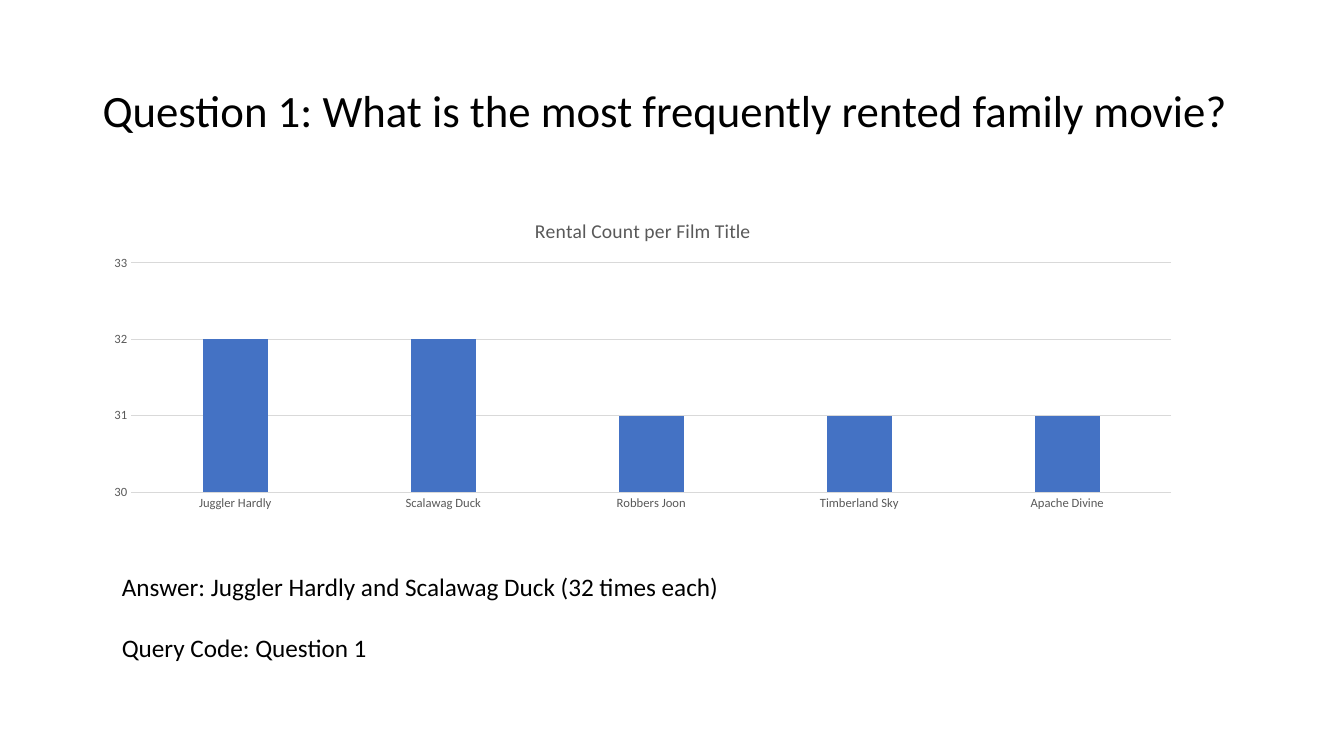
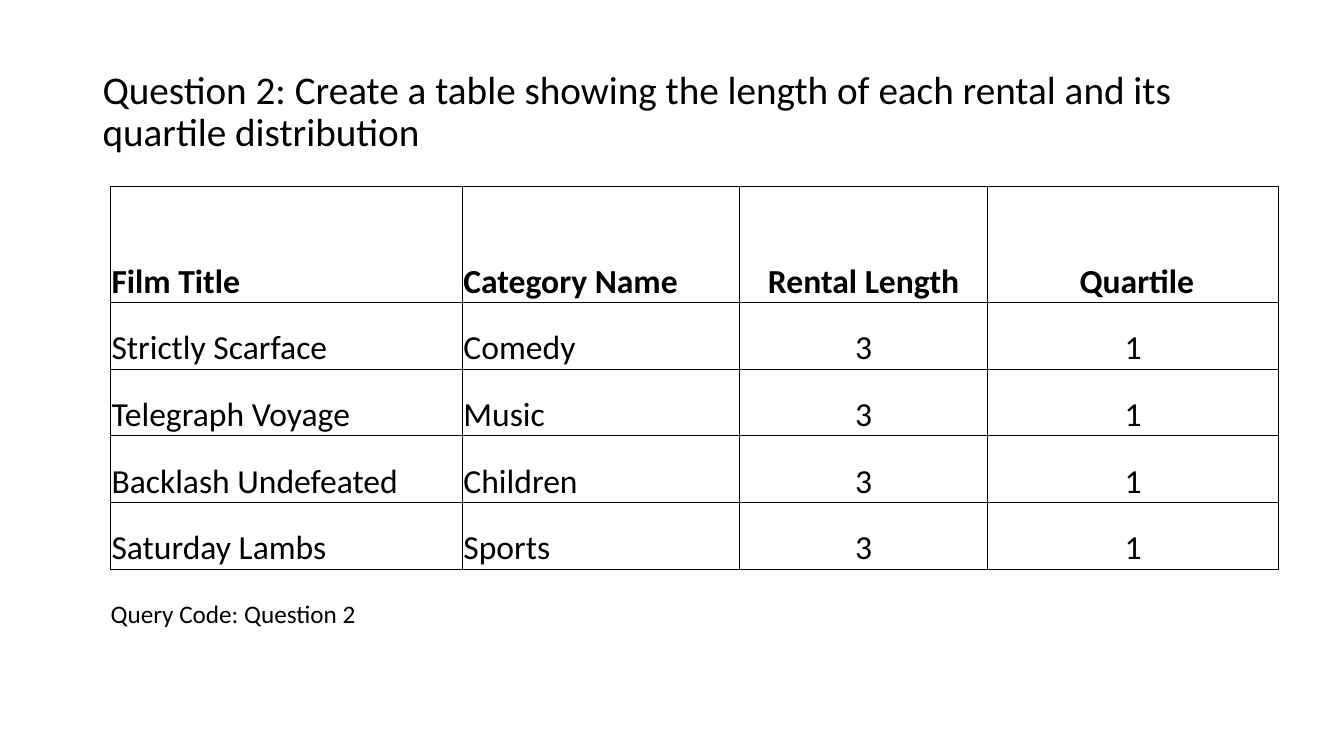
import pptx
import pptx.chart.data
import pptx.dml.color
import pptx.enum.chart
import pptx.enum.text
import pptx.oxml
import pptx.oxml.ns
import pptx.util

Cm = pptx.util.Cm
Pt = pptx.util.Pt
ALIGN = pptx.enum.text.PP_ALIGN
ANCHOR = pptx.enum.text.MSO_ANCHOR
SIZING = pptx.enum.text.MSO_AUTO_SIZE
FACE = "Calibri"
BLACK, GRAY, PALE, BLUE = "000000", "595959", "D9D9D9", "4472C4"
HEAD = (2.33, 1.01, 29.21, 3.68)


def tint(code):
    return pptx.dml.color.RGBColor.from_string(code)


def style(font, size, code=BLACK, bold=False):
    font.name, font.size, font.bold = FACE, Pt(size), bold
    font.color.rgb = tint(code)


def place(shape, box):
    shape.left, shape.top, shape.width, shape.height = map(Cm, box)


def add_slide(deck, text, size):
    slide = deck.slides.add_slide(deck.slide_layouts[5])
    title = slide.shapes.title
    place(title, HEAD)
    frame = title.text_frame
    frame.text = text
    frame.auto_size = SIZING.NONE
    frame.vertical_anchor = ANCHOR.MIDDLE
    para = frame.paragraphs[0]
    para.alignment, para.line_spacing = ALIGN.LEFT, 0.9
    style(para.runs[0].font, size)
    return slide


def add_notes(slide, box, lines):
    frame = slide.shapes.add_textbox(*map(Cm, box)).text_frame
    frame.word_wrap = True
    frame.auto_size = SIZING.SHAPE_TO_FIT_TEXT
    frame.text = "\n".join(lines)
    for i, para in enumerate(frame.paragraphs):
        para.space_before = Pt(22 if i else 0)
        style(para.runs[0].font, 18)


def add_bars(slide, box, title, counts):
    data = pptx.chart.data.CategoryChartData()
    data.categories = list(counts)
    data.add_series("Series 1", list(counts.values()))
    kind = pptx.enum.chart.XL_CHART_TYPE.COLUMN_CLUSTERED
    chart = slide.shapes.add_chart(kind, *map(Cm, box), data).chart
    style(chart.font, 10)
    chart.has_legend = False
    chart.has_title = True
    frame = chart.chart_title.text_frame
    frame.text = title
    style(frame.paragraphs[0].runs[0].font, 14, GRAY)

    plot = chart.plots[0]
    plot.gap_width, plot.overlap = 219, -27
    plot.vary_by_categories = False
    fill = plot.series[0].format.fill
    fill.solid()
    fill.fore_color.rgb = tint(BLUE)

    names, scale = chart.category_axis, chart.value_axis
    for axis in (names, scale):
        style(axis.tick_labels.font, 9, GRAY)
        axis.major_tick_mark = pptx.enum.chart.XL_TICK_MARK.NONE
    scale.minimum_scale, scale.maximum_scale, scale.major_unit = 30, 33, 1
    scale.format.line.fill.background()
    for line in (names.format.line, scale.major_gridlines.format.line):
        line.color.rgb = tint(PALE)
        line.width = Pt(0.75)


def frame_cell(cell):
    props = cell._tc.get_or_add_tcPr()
    space = pptx.oxml.ns.nsdecls("a")
    for side in "LRTB":
        props.append(pptx.oxml.parse_xml(
            f'<a:ln{side} {space} w="{Pt(0.5)}"><a:solidFill>'
            f'<a:srgbClr val="{BLACK}"/></a:solidFill></a:ln{side}>'))
    cell.fill.background()


def add_grid(slide, box, widths, heights, rows):
    table = slide.shapes.add_table(len(rows), len(widths), *map(Cm, box)).table
    table.first_row = table.horz_banding = False
    for col, width in zip(table.columns, widths):
        col.width = Cm(width)
    for row, height in zip(table.rows, heights):
        row.height = Cm(height)
    for r, row in enumerate(rows):
        for c, text in enumerate(row):
            cell = table.cell(r, c)
            cell.text = text
            cell.vertical_anchor = ANCHOR.BOTTOM
            cell.margin_left = cell.margin_right = cell.margin_top = Cm(0.03)
            cell.margin_bottom = 0
            para = cell.text_frame.paragraphs[0]
            para.alignment = ALIGN.LEFT if c < 2 else ALIGN.CENTER
            style(para.runs[0].font, 24, bold=r == 0)
            frame_cell(cell)


def film_slide(deck):
    slide = add_slide(
        deck, "Question 1: What is the most frequently rented family movie?", 32)
    counts = {"Juggler Hardly": 32, "Scalawag Duck": 32, "Robbers Joon": 31,
              "Timberland Sky": 31, "Apache Divine": 31}
    add_bars(slide, (2.33, 5.08, 27.74, 7.95),
             "Rental Count per Film Title", counts)
    add_notes(slide, (2.82, 14.27, 27.74, 2.57),
              ["Answer: Juggler Hardly and Scalawag Duck (32 times each)",
               "Query Code: Question 1"])


def length_slide(deck):
    slide = add_slide(deck, "Question 2: Create a table showing the length of "
                      "each rental and its quartile distribution ", 28)
    films = {"Strictly Scarface": "Comedy", "Telegraph Voyage": "Music",
             "Backlash Undefeated": "Children", "Saturday Lambs": "Sports"}
    rows = [("Film Title", "Category Name", "Rental Length", " Quartile")]
    rows += [(film, group, "3", "1") for film, group in films.items()]
    add_grid(slide, (2.78, 4.69, 29.44, 9.63), (8.87, 6.99, 6.25, 7.33),
             [2.93] + [1.68] * len(films), rows)
    add_notes(slide, (2.54, 14.96, 23.85, 1.02), ["Query Code: Question 2"])


deck = pptx.Presentation()
deck.slide_width, deck.slide_height = Cm(33.87), Cm(19.05)
film_slide(deck)
length_slide(deck)
deck.save("out.pptx")
